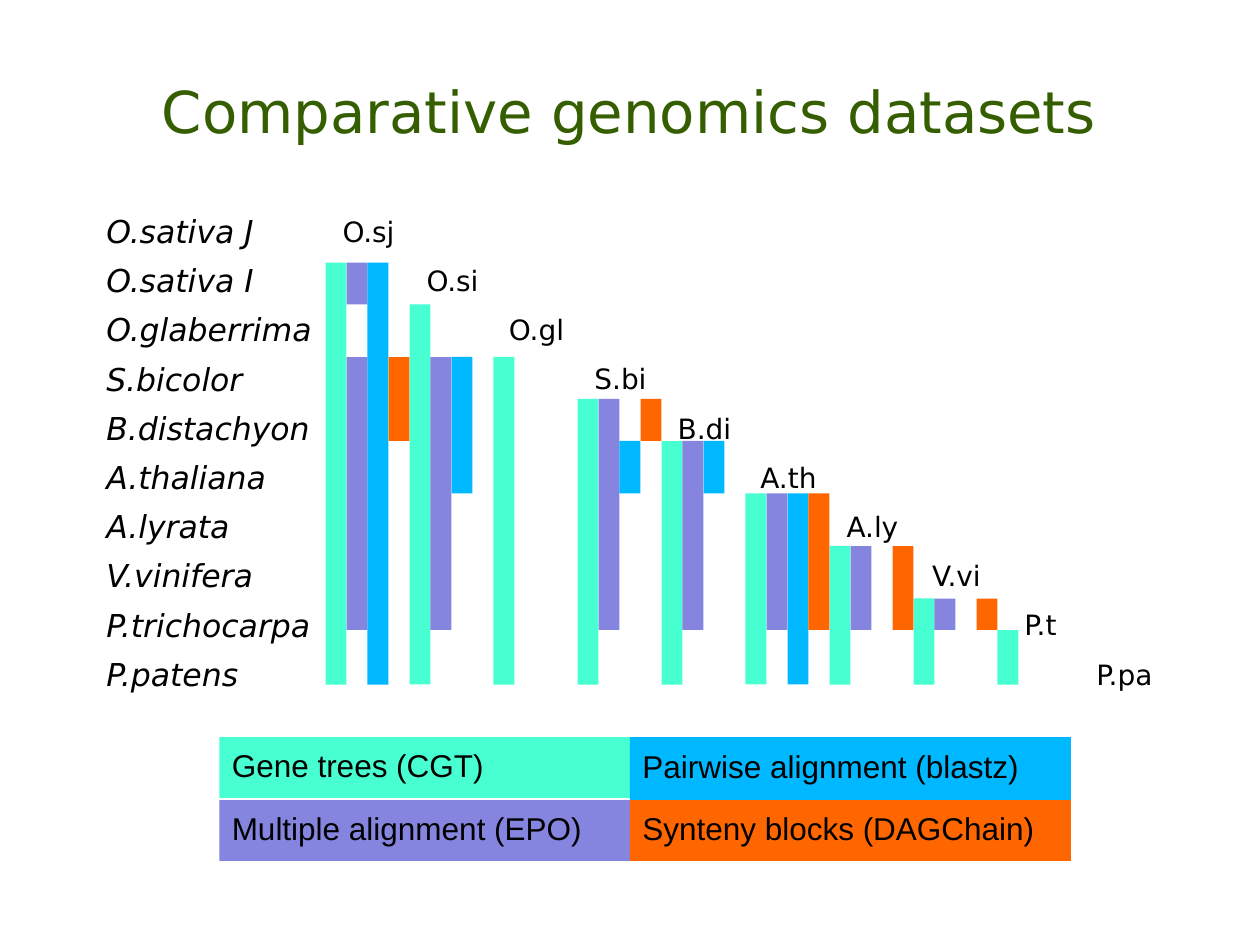
from pptx import Presentation
from pptx.dml.color import RGBColor
from pptx.enum.shapes import MSO_SHAPE
from pptx.enum.text import MSO_ANCHOR, PP_ALIGN
from pptx.oxml.ns import qn
from pptx.util import Pt

RECT = MSO_SHAPE.RECTANGLE
MIDDLE = MSO_ANCHOR.MIDDLE
LEFT, CENTER = PP_ALIGN.LEFT, PP_ALIGN.CENTER
SANS, ARIAL = "DejaVu Sans", "Arial"
BLACK, GREEN = "000000", "355E00"
NO_GRID = "{2D5ABB26-0587-4C30-8999-92F81FD0307C}"

GENES, MULTI, PAIRS, BLOCKS = range(4)
TRACKS = [
    ("Gene trees (CGT)", "47FFD1"),
    ("Multiple alignment (EPO)", "8585E0"),
    ("Pairwise alignment (blastz)", "00B8FF"),
    ("Synteny blocks (DAGChain)", "FF6600"),
]
SPECIES = [
    ("O.sativa J", "O.sj"), ("O.sativa I", "O.si"),
    ("O.glaberrima", "O.gl"), ("S.bicolor", "S.bi"),
    ("B.distachyon", "B.di"), ("A.thaliana", "A.th"),
    ("A.lyrata", "A.ly"), ("V.vinifera", "V.vi"),
    ("P.trichocarpa", "P.t"), ("P.patens", "P.pa"),
]
# Heights of the row edges, from the top of the bars
EDGES = [0, 24, 54, 78, 102, 132, 162, 192, 210, 241.2]
# Species column, track, first edge, last edge
BARS = [(col, GENES, col, 9) for col in range(9)] + [
    (0, MULTI, 0, 1), (0, MULTI, 2, 8), (0, PAIRS, 0, 9), (0, BLOCKS, 2, 4),
    (1, MULTI, 2, 8), (1, PAIRS, 2, 5),
    (3, MULTI, 3, 8), (3, PAIRS, 4, 5), (3, BLOCKS, 3, 4),
    (4, MULTI, 4, 8), (4, PAIRS, 4, 5),
    (5, MULTI, 5, 8), (5, PAIRS, 5, 9), (5, BLOCKS, 5, 8),
    (6, MULTI, 6, 8), (6, BLOCKS, 6, 8),
    (7, MULTI, 7, 8), (7, BLOCKS, 7, 8),
]


def color(value):
    return RGBColor.from_string(value)


def write(frame, text, size, face, ink=BLACK, align=LEFT, italic=False, lead=None):
    para = frame.paragraphs[0]
    para.alignment = align
    if lead:
        para.line_spacing = lead
    run = para.add_run()
    run.text = text
    font = run.font
    font.size, font.name, font.italic = Pt(size), face, italic
    font.color.rgb = color(ink)


def add_rect(slide, x, y, w, h, fill):
    shape = slide.shapes.add_shape(RECT, Pt(x), Pt(y), Pt(w), Pt(h))
    shape.shadow.inherit = False
    shape.fill.solid()
    shape.fill.fore_color.rgb = color(fill)
    shape.line.fill.background()
    return shape


def add_title(slide, x, y, w, h):
    title = slide.shapes.title
    title.left, title.top, title.width, title.height = Pt(x), Pt(y), Pt(w), Pt(h)
    frame = title.text_frame
    frame.margin_left = frame.margin_right = 0
    frame.margin_top = frame.margin_bottom = 0
    frame.vertical_anchor = MIDDLE
    write(frame, "Comparative genomics datasets", 33, SANS, GREEN, CENTER, lead=0.85)


def add_bars(slide, x, y, step):
    width = step / len(TRACKS)
    for col, track, first, last in BARS:
        add_rect(slide, x + col * step + track * width, y + EDGES[first],
                 width, EDGES[last] - EDGES[first], TRACKS[track][1])


def add_matrix(slide, x, y, w, h, step):
    count = len(SPECIES)
    table = slide.shapes.add_table(
        count, count + 1, Pt(x), Pt(y), Pt(w), Pt(h)).table
    table.first_row = table.horz_banding = False
    table._tbl.tblPr.find(qn("a:tableStyleId")).text = NO_GRID
    for col in table.columns:
        col.width = Pt(step)
    table.columns[0].width = Pt(w - count * step)
    for row in table.rows:
        row.height = Pt(h / count)
    for cell in table.iter_cells():
        cell.fill.background()
        cell.vertical_anchor = MIDDLE
        cell.margin_left = cell.margin_right = Pt(0.72)
        cell.margin_top = cell.margin_bottom = 0
    # Full names down the side, short names on the diagonal
    for i, (name, short) in enumerate(SPECIES):
        side, mark = table.cell(i, 0), table.cell(i, i + 1)
        for cell in (side, mark):
            cell.margin_top = cell.margin_bottom = Pt(3.6)
        write(side.text_frame, name, 18, SANS, italic=True)
        write(mark.text_frame, short, 16, SANS, align=CENTER)


def add_legend(slide, x, y, widths, pitch):
    for i, (label, fill) in enumerate(TRACKS):
        col, row = divmod(i, 2)
        high = pitch if i == PAIRS else pitch - 1.2
        box = add_rect(slide, x + col * widths[0], y + row * pitch,
                       widths[col], high, fill)
        frame = box.text_frame
        frame.word_wrap = True
        frame.vertical_anchor = MIDDLE
        write(frame, label, 18, ARIAL, lead=0.88)


def main():
    deck = Presentation()
    deck.slide_width, deck.slide_height = Pt(720), Pt(540)
    slide = deck.slides.add_slide(deck.slide_layouts[5])
    add_title(slide, 36, 21.6, 647.3, 89.3)
    add_bars(slide, 186, 150, 48)
    add_matrix(slide, 60, 118.8, 606.6, 272.9, 48)
    add_legend(slide, 125.4, 421.2, (234.6, 252), 36)
    deck.save("out.pptx")


if __name__ == "__main__":
    main()
